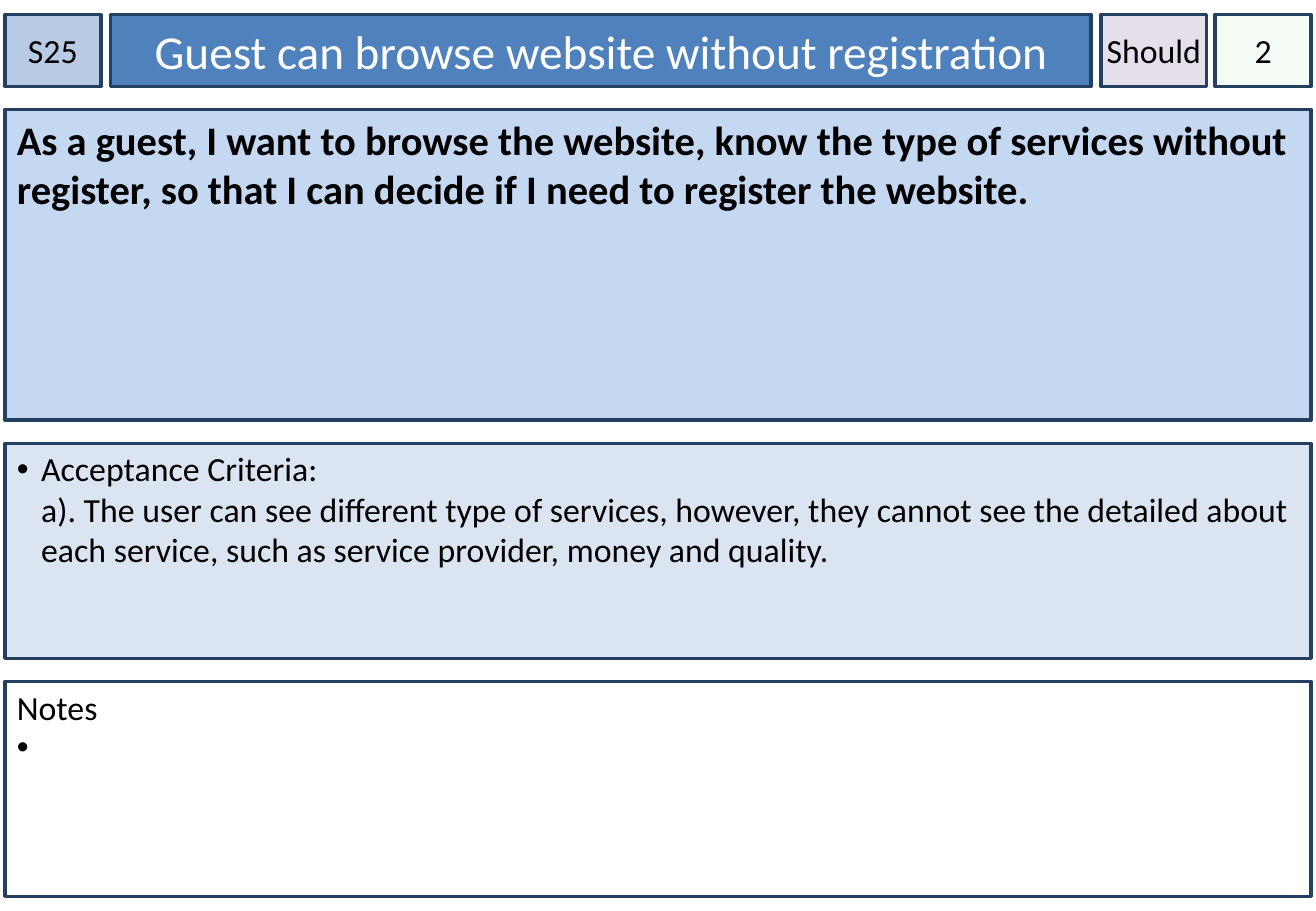
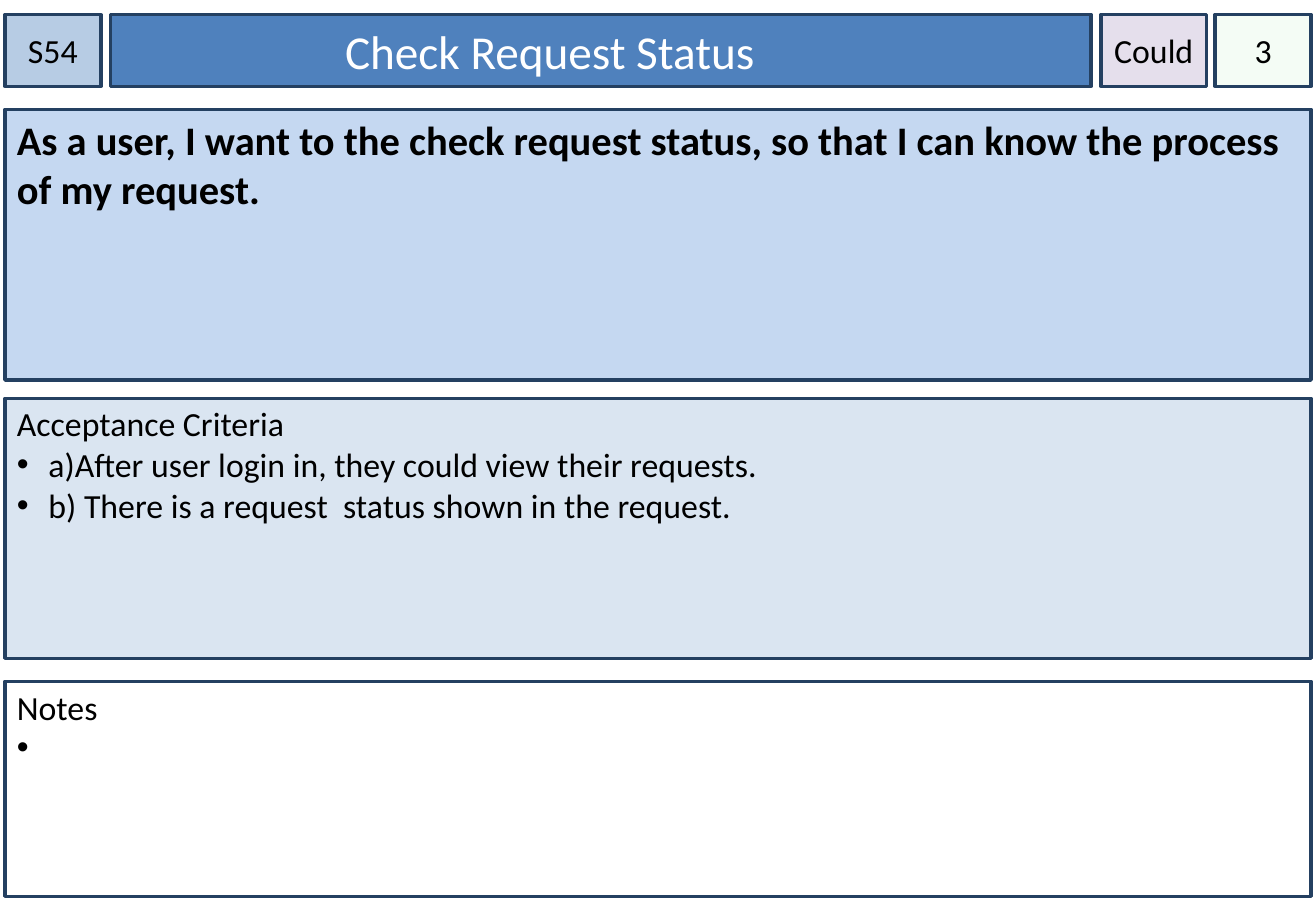
import pptx
import pptx.util
import pptx.dml.color
import pptx.enum.text
import pptx.enum.shapes
import lxml.etree

Inches = pptx.util.Inches
Pt = pptx.util.Pt
ALIGN = pptx.enum.text.PP_ALIGN
ANCHOR = pptx.enum.text.MSO_ANCHOR
RECT = pptx.enum.shapes.MSO_SHAPE.RECTANGLE
NS = "{http://schemas.openxmlformats.org/drawingml/2006/main}"

# Shared look
EDGE, INK, WHITE = "244061", "000000", "FFFFFF"
LEFT, WIDTH = 0.04, 10.75
TOP, BAR = 0.12, 0.59
STORY, LOW, NOTES = 0.9, 5.42, 5.61


def color(text):
    return pptx.dml.color.RGBColor.from_string(text)


def card(shape, at, fill, lines, size=20, ink=INK, bold=False,
         mid=False, side=0.1, top=0.05):
    """Place and style a box; each line is (text, bullet indent)."""
    shape.left, shape.top, shape.width, shape.height = map(Inches, at)
    shape.fill.solid()
    shape.fill.fore_color.rgb = color(fill)
    shape.line.color.rgb = color(EDGE)
    shape.line.width = Pt(2)
    frame = shape.text_frame
    frame.word_wrap = True
    frame.auto_size = pptx.enum.text.MSO_AUTO_SIZE.NONE
    frame.vertical_anchor = ANCHOR.MIDDLE if mid else ANCHOR.TOP
    frame.margin_left = frame.margin_right = Inches(side)
    frame.margin_top, frame.margin_bottom = Inches(top), Inches(0.05)
    for i, (text, indent) in enumerate(lines):
        para = frame.add_paragraph() if i else frame.paragraphs[0]
        para.text = text
        para.alignment = ALIGN.CENTER if mid else ALIGN.LEFT
        if indent:
            props = para._p.get_or_add_pPr()
            props.set("marL", str(Inches(indent)))
            props.set("indent", str(-Inches(indent)))
            lxml.etree.SubElement(props, NS + "buFont", typeface="Arial")
            lxml.etree.SubElement(props, NS + "buChar", char="•")
        para.font.name = "Calibri"
        para.font.size = Pt(size)
        para.font.bold = bold
        para.font.color.rgb = color(ink)


# Story cards: the story ends at "end", the criteria start at "start"
stories = [
    dict(code="S25", title="Guest can browse website without registration",
         rank="Should", points="2", end=3.46, start=3.65, inset=None,
         story="As a guest, I want to browse the website, know the type of "
               "services without register, so that I can decide if I need to "
               "register the website.",
         tests=[("Acceptance Criteria:\va). The user can see different type "
                 "of services, however, they cannot see the detailed about "
                 "each service, such as service provider, money and quality.",
                 0.2)]),
    dict(code="S54", title="Check Request Status",
         rank="Could", points="3", end=3.13, start=3.28, inset=1.93,
         story="As a user, I want to the check request status, so that I can "
               "know the process of my request.",
         tests=[("Acceptance Criteria", 0),
                ("a)After user login in, they could view their requests.", 0.26),
                ("b) There is a request  status shown in the request.", 0.26)]),
]

deck = pptx.Presentation()
deck.slide_width, deck.slide_height = Inches(10.83), Inches(7.5)

for item in stories:
    slide = deck.slides.add_slide(deck.slide_layouts[5])

    # Title bar
    title = slide.shapes.title
    card(title, (0.91, TOP, 8.07, BAR), "4F81BD", [(item["title"], 0)],
         size=28, ink=WHITE, mid=True)
    if item["inset"]:
        title.text_frame.margin_left = Inches(item["inset"])
        title.text_frame.paragraphs[0].alignment = ALIGN.LEFT

    # Boxes: place, fill, lines, style
    tag = dict(mid=True, side=0)
    boxes = [
        ((LEFT, TOP, 0.79, BAR), "B7CCE4", [(item["code"], 0)], tag),
        ((9.06, TOP, 0.87, BAR), "E5DFEC", [(item["rank"], 0)], tag),
        ((LEFT, STORY, WIDTH, item["end"] - STORY), "C5D8F1",
         [(item["story"], 0)], dict(size=24, bold=True)),
        ((LEFT, item["start"], WIDTH, LOW - item["start"]), "DAE5F1",
         item["tests"], dict(top=0.04)),
        ((LEFT, NOTES, WIDTH, 1.77), WHITE,
         [("Notes", 0), (" ", 0.2)], dict(top=0.04)),
        ((10, TOP, 0.79, BAR), "CCF0CD", [(item["points"], 0)], tag),
    ]
    for at, fill, lines, style in boxes:
        shape = slide.shapes.add_shape(RECT, *map(Inches, at))
        shape.shadow.inherit = False
        card(shape, at, fill, lines, **style)

    # The points box, last in the list, is a faint tint
    tint = shape._element.spPr.find(f"{NS}solidFill/{NS}srgbClr")
    lxml.etree.SubElement(tint, NS + "alpha", val="20000")

deck.save("out.pptx")
